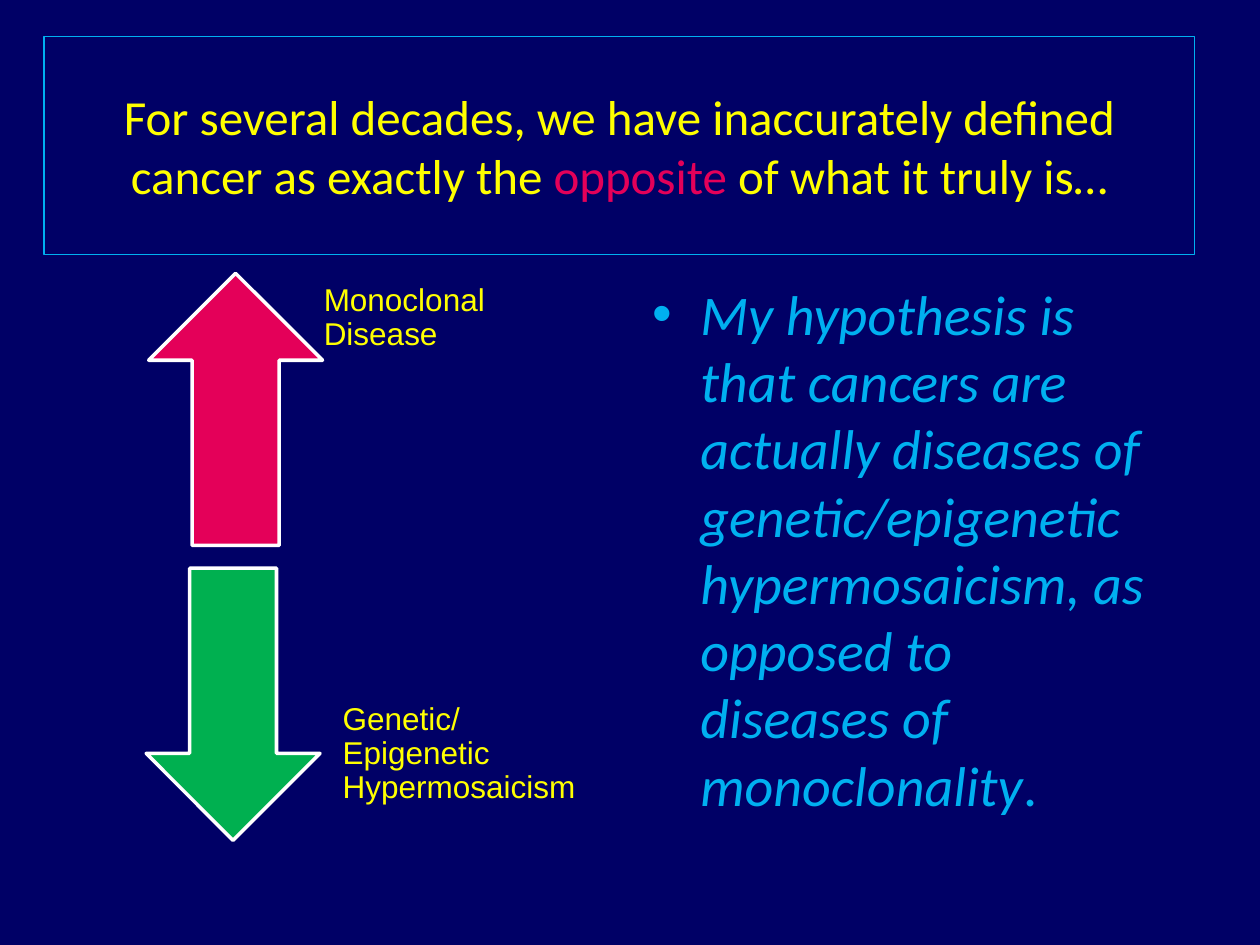
"""Build a slide contrasting two opposite definitions of cancer."""
from dataclasses import dataclass

from lxml import etree
from pptx import Presentation
from pptx.dml.color import RGBColor
from pptx.enum.shapes import MSO_SHAPE
from pptx.enum.text import MSO_ANCHOR, PP_ALIGN
from pptx.oxml.ns import qn
from pptx.util import Inches, Pt

RECTANGLE, UP_ARROW, DOWN_ARROW = MSO_SHAPE.RECTANGLE, MSO_SHAPE.UP_ARROW, MSO_SHAPE.DOWN_ARROW
TOP, MIDDLE = MSO_ANCHOR.TOP, MSO_ANCHOR.MIDDLE
LEFT, CENTER = PP_ALIGN.LEFT, PP_ALIGN.CENTER


@dataclass(frozen=True)
class Theme:
    background: str = "000066"
    yellow: str = "FFFF00"
    blue: str = "00B0F0"
    red: str = "E40059"
    green: str = "00B050"
    white: str = "FFFFFF"
    heading_font: str = "Calibri"
    label_font: str = "Arial"
    title_size: int = 28
    label_size: int = 18
    body_size: int = 32


theme = Theme()
presentation = Presentation()
presentation.slide_width, presentation.slide_height = Inches(10), Inches(7.5)
column, row = presentation.slide_width / 100, presentation.slide_height / 100
slide = presentation.slides.add_slide(presentation.slide_layouts[6])
slide.background.fill.solid()
slide.background.fill.fore_color.rgb = RGBColor.from_string(theme.background)


def place(left, top, width, height):
    return int(left * column), int(top * row), int(width * column), int(height * row)


def write(shape, runs, font, size, margins=(0.1, 0.05, 0.1, 0.05), anchor=MIDDLE,
          align=LEFT, spacing=1.0, bullet_color=None):
    frame = shape.text_frame
    frame.word_wrap = True
    frame.vertical_anchor = anchor
    frame.margin_left, frame.margin_top, frame.margin_right, frame.margin_bottom = map(Inches, margins)
    paragraph = frame.paragraphs[0]
    paragraph.alignment, paragraph.line_spacing = align, spacing
    if bullet_color:
        properties = paragraph._p.get_or_add_pPr()
        properties.set("marL", str(Inches(0.38)))
        properties.set("indent", str(-Inches(0.38)))
        color = etree.SubElement(properties, qn("a:buClr"))
        etree.SubElement(color, qn("a:srgbClr"), val=bullet_color)
        etree.SubElement(properties, qn("a:buFont"), typeface="Arial")
        etree.SubElement(properties, qn("a:buChar"), char="•")
    for text, run_color, italic in runs:
        run = paragraph.add_run()
        run.text = text
        run.font.name, run.font.size, run.font.italic = font, Pt(size), italic
        run.font.color.rgb = RGBColor.from_string(run_color)


title = slide.shapes.add_shape(RECTANGLE, *place(3.5, 3.87, 91.3, 23.07))
title.shadow.inherit = False
title.fill.background()
title.line.color.rgb = RGBColor.from_string(theme.blue)
title.line.width = Pt(0.75)
write(title, [("For several decades, we have inaccurately defined cancer as exactly the ", theme.yellow, False),
              ("opposite", theme.red, False),
              (" of what it truly is…", theme.yellow, False)],
      theme.heading_font, theme.title_size, align=CENTER)

directions = [
    (UP_ARROW, theme.red, (11.8, 28.93), "Monoclonal Disease", (24.3, 30, 23.3, 9.2)),
    (DOWN_ARROW, theme.green, (11.6, 60.13), "Genetic/Epigenetic Hypermosaicism", (25.8, 73.73, 23.3, 14.13)),
]
for kind, fill, corner, text, label_area in directions:
    arrow = slide.shapes.add_shape(kind, *place(*corner, 13.8, 28.8))
    arrow.shadow.inherit = False
    arrow.fill.solid()
    arrow.fill.fore_color.rgb = RGBColor.from_string(fill)
    arrow.line.color.rgb = RGBColor.from_string(theme.white)
    arrow.line.width = Pt(2)
    label = slide.shapes.add_textbox(*place(*label_area))
    write(label, [(text, theme.yellow, False)], theme.label_font, theme.label_size,
          margins=(0.14, 0, 0.14, 0.14), spacing=0.9)

hypothesis = slide.shapes.add_textbox(*place(50.8, 28.93, 41.7, 60))
write(hypothesis, [("My hypothesis is that cancers are actually diseases of genetic/epigenetic "
                    "hypermosaicism, as opposed to diseases of monoclonality", theme.blue, True),
                   (".", theme.blue, False)],
      theme.heading_font, theme.body_size, anchor=TOP, bullet_color=theme.blue)

presentation.save("out.pptx")
